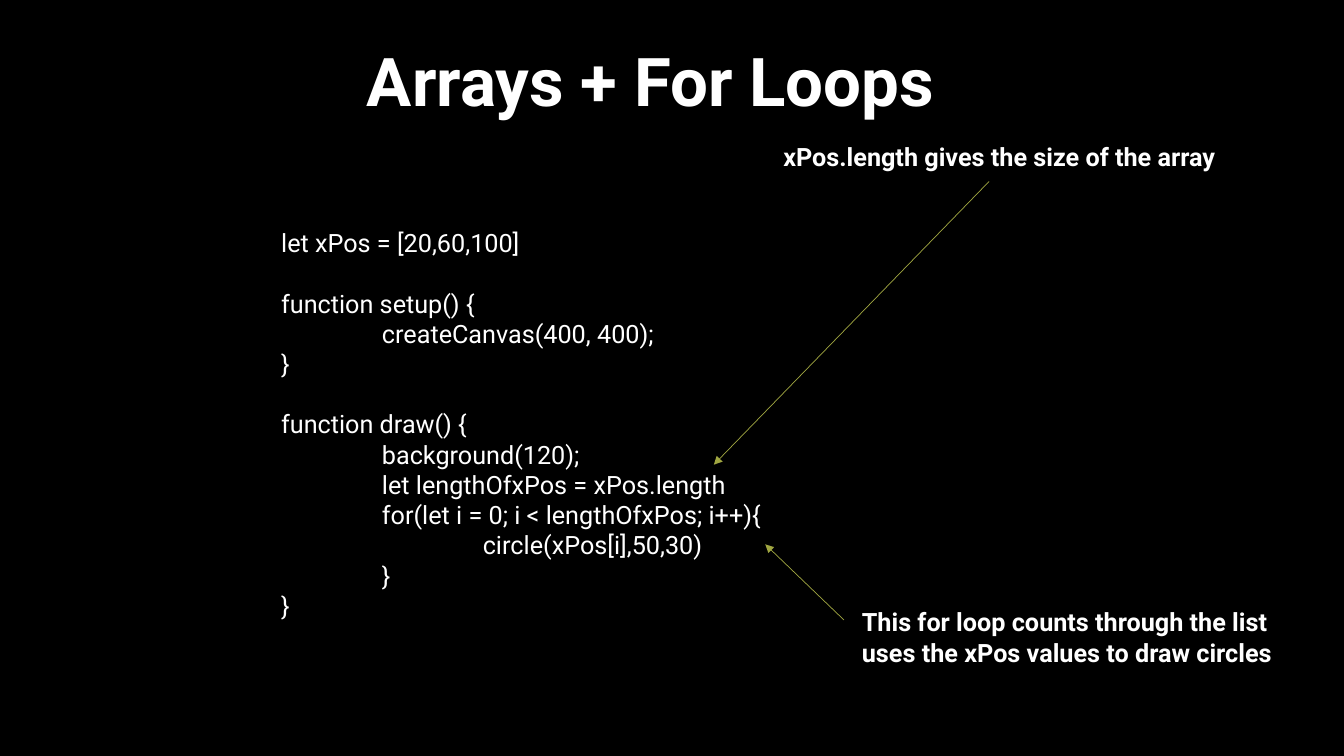
from dataclasses import dataclass

from lxml import etree
from pptx import Presentation
from pptx.dml.color import RGBColor
from pptx.enum.shapes import MSO_CONNECTOR
from pptx.enum.text import MSO_AUTO_SIZE, PP_ALIGN
from pptx.oxml.ns import qn
from pptx.slide import Slide
from pptx.util import Inches, Pt

STRAIGHT = MSO_CONNECTOR.STRAIGHT
GROW = MSO_AUTO_SIZE.SHAPE_TO_FIT_TEXT
LEFT = PP_ALIGN.LEFT
CENTER = PP_ALIGN.CENTER


@dataclass(frozen=True)
class Theme:
    back: RGBColor = RGBColor(0x00, 0x00, 0x00)
    ink: RGBColor = RGBColor(0xFF, 0xFF, 0xFF)
    arrow: RGBColor = RGBColor(0xA0, 0xA6, 0x41)
    font: str = "Roboto"
    title: float = 48
    body: float = 18
    gap: float = 21.5
    stroke: float = 0.5
    indent: float = 1


@dataclass(frozen=True)
class Line:
    text: str
    level: int = 0
    gap: bool = False


@dataclass(frozen=True)
class Block:
    left: float
    top: float
    width: float
    height: float
    lines: tuple[Line, ...]
    size: float
    bold: bool = True
    align: PP_ALIGN = LEFT


@dataclass(frozen=True)
class Arrow:
    start: tuple[float, float]
    end: tuple[float, float]


THEME = Theme()

CODE = (
    Line("let xPos = [20,60,100]"),
    Line("function setup() {", gap=True),
    Line("createCanvas(400, 400);", 1),
    Line("}"),
    Line("function draw() {", gap=True),
    Line("background(120);", 1),
    Line("let lengthOfxPos = xPos.length", 1),
    Line("for(let i = 0; i < lengthOfxPos; i++){", 1),
    Line("circle(xPos[i],50,30)", 2),
    Line("}", 1),
    Line("}"),
)
SIZE_NOTE = (Line("xPos.length gives the size of the array"),)
LOOP_NOTE = (
    Line("This for loop counts through the list"),
    Line("uses the xPos values to draw circles"),
)

BLOCKS = (
    Block(1.03, 0.34, 10.85, 0.91, (Line("Arrays + For Loops"),),
          THEME.title, align=CENTER),
    Block(2.69, 2.21, 6.45, 4.04, CODE, THEME.body, bold=False),
    Block(7.67, 1.35, 6.45, 0.4, SIZE_NOTE, THEME.body),
    Block(8.45, 5.97, 6.45, 0.71, LOOP_NOTE, THEME.body),
)
ARROWS = (
    Arrow((8.37, 6.15), (7.59, 5.4)),
    Arrow((9.81, 1.8), (7.08, 4.61)),
)


def add_block(slide: Slide, block: Block) -> None:
    box = slide.shapes.add_textbox(
        Inches(block.left), Inches(block.top),
        Inches(block.width), Inches(block.height))
    frame = box.text_frame
    frame.word_wrap = True
    frame.auto_size = GROW
    for index, line in enumerate(block.lines):
        para = frame.add_paragraph() if index else frame.paragraphs[0]
        para.alignment = block.align
        if line.gap:
            para.space_before = Pt(THEME.gap)
        if line.level:
            props = para._p.get_or_add_pPr()
            props.set("marL", str(Inches(line.level * THEME.indent)))
            props.set("indent", "0")
        run = para.add_run()
        run.text = line.text
        run.font.name = THEME.font
        run.font.size = Pt(block.size)
        run.font.bold = block.bold
        run.font.color.rgb = THEME.ink


def add_arrow(slide: Slide, arrow: Arrow) -> None:
    ends = [Inches(value) for value in arrow.start + arrow.end]
    link = slide.shapes.add_connector(STRAIGHT, *ends)
    link.line.color.rgb = THEME.arrow
    link.line.width = Pt(THEME.stroke)
    stroke = link.line._get_or_add_ln()
    etree.SubElement(stroke, qn("a:tailEnd"), type="triangle")
    etree.SubElement(link._element.spPr, qn("a:effectLst"))


def main() -> None:
    deck = Presentation()
    deck.slide_width = Inches(13.33)
    deck.slide_height = Inches(7.5)
    slide = deck.slides.add_slide(deck.slide_layouts[6])
    fill = slide.background.fill
    fill.solid()
    fill.fore_color.rgb = THEME.back
    for block in BLOCKS:
        add_block(slide, block)
    for arrow in ARROWS:
        add_arrow(slide, arrow)
    deck.save("out.pptx")


if __name__ == "__main__":
    main()
